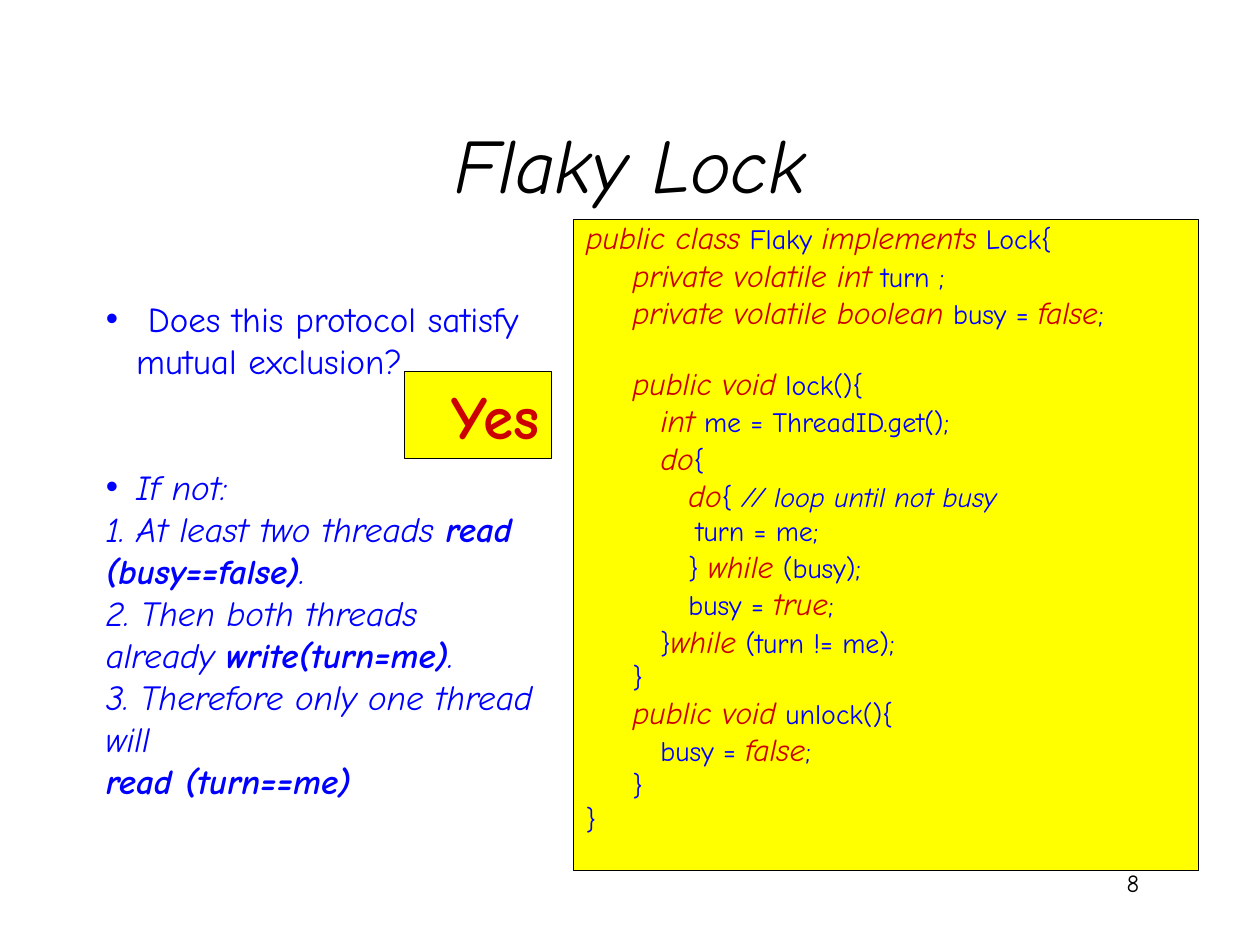
"""Build the Flaky Lock slide: a mutual exclusion argument beside its Java code."""
import pptx
import pptx.dml.color
import pptx.enum.shapes
import pptx.enum.text
import pptx.oxml
import pptx.oxml.ns
import pptx.util
from pptx.util import Inches

RGB = pptx.dml.color.RGBColor.from_string
ALIGN = pptx.enum.text.PP_ALIGN
theme = {
    "font": "Comic Neue",
    "black": RGB("000000"),
    "blue": RGB("0000FF"),
    "red": RGB("CC0000"),
    "yellow": RGB("FFFF00"),
    "title": 44,
    "answer": 35,
    "argument": 20,
    "keyword": 18,
    "code": 16,
    "number": 14,
}


def style(font, size, color, bold=False, italic=False):
    font.name = theme["font"]
    font.size = pptx.util.Pt(theme[size])
    font.color.rgb = theme[color]
    font.bold = bold
    font.italic = italic


def set_indent(paragraph, margin, children):
    properties = paragraph._p.get_or_add_pPr()
    properties.set("marL", str(Inches(margin)))
    properties.set("indent", str(-Inches(margin)))
    for child in children:
        namespace = pptx.oxml.ns.nsdecls("a")
        properties.append(pptx.oxml.parse_xml(child.replace("/>", f" {namespace}/>", 1)
                          if child.count("<") == 1 else child.replace(">", f" {namespace}>", 1)))


argument_lines = [
    " Does this protocol satisfy mutual exclusion?",
    "If not:",
    "1. At least two threads |read (busy==false)|.",
    "2. Then both threads already |write(turn=me)|.",
    "3. Therefore only one thread will",
    "|read (turn==me)",
]
code_lines = [
    "|public class| Flaky |implements| Lock{",
    "\t|private volatile int| turn ;",
    "\t|private volatile boolean| busy = |false|;",
    "\t|public void| lock(){",
    "\t   |int| me = ThreadID.get();",
    "\t   |do|{",
    "\t      |do|{ |// loop until not busy",
    "\t\tturn = me;",
    "\t      } |while| (busy);",
    "\t      busy = |true|;",
    "\t   }|while| (turn != me);",
    "\t}",
    "\t|public void| unlock(){",
    "\t   busy = |false|;",
    "\t}",
    "}",
]

deck = pptx.Presentation()
deck.slide_width, deck.slide_height = Inches(10), Inches(7.5)
slide = deck.slides.add_slide(deck.slide_layouts[3])
title, argument, code = list(slide.placeholders)[:3]

places = [
    (title, 0.75, 0.67, 8.5, 1.25),
    (argument, 0.74, 2.31, 3.61, 5.1),
    (code, 4.55, 1.74, 4.96, 5.17),
]
for part, left, top, width, height in places:
    part.left, part.top = Inches(left), Inches(top)
    part.width, part.height = Inches(width), Inches(height)
    part.text_frame.word_wrap = True
    part.text_frame.auto_size = pptx.enum.text.MSO_AUTO_SIZE.NONE

title.text_frame.text = "Flaky Lock"
title.text_frame.paragraphs[0].alignment = ALIGN.CENTER
style(title.text_frame.paragraphs[0].runs[0].font, "title", "black", italic=True)

bullet = ['<a:buClr><a:srgbClr val="0000FF"/></a:buClr>', '<a:buChar char="•"/>']
for index, line in enumerate(argument_lines):
    frame = argument.text_frame
    paragraph = frame.add_paragraph() if index else frame.paragraphs[0]
    bulleted = index < 2
    set_indent(paragraph, 0.24 if bulleted else 0, bullet if bulleted else ["<a:buNone/>"])
    paragraph.space_before = pptx.util.Pt(48 if index == 1 else 0)
    for position, words in enumerate(line.split("|")):
        if words:
            run = paragraph.add_run()
            run.text = words
            style(run.font, "argument", "blue", bold=position % 2 == 1, italic=index > 0)

stops = "".join(f'<a:tab pos="{Inches(inch)}" algn="l"/>' for inch in range(1, 9))
for index, line in enumerate(code_lines):
    frame = code.text_frame
    paragraph = frame.add_paragraph() if index else frame.paragraphs[0]
    set_indent(paragraph, 0.37, ["<a:buNone/>", f"<a:tabLst>{stops}</a:tabLst>"])
    paragraph.line_spacing = 0.8
    opens_lock = line.endswith(" lock(){")
    paragraph.space_before = pptx.util.Pt(23.5 if opens_lock else 4 if index else 0)
    for position, words in enumerate(line.split("|")):
        if words:
            run = paragraph.add_run()
            run.text = words
            comment = words.startswith("//")
            keyword = position % 2 == 1 and not comment
            style(run.font, "keyword" if keyword else "code",
                  "red" if keyword else "blue", italic=keyword or comment)

answer = slide.shapes.add_shape(
    pptx.enum.shapes.MSO_SHAPE.RECTANGLE,
    Inches(3.21), Inches(2.95), Inches(1.17), Inches(0.69))
answer.shadow.inherit = False
answer.text_frame.text = "Yes"
answer.text_frame.vertical_anchor = pptx.enum.text.MSO_ANCHOR.TOP
answer.text_frame.paragraphs[0].alignment = ALIGN.RIGHT
style(answer.text_frame.paragraphs[0].runs[0].font, "answer", "red", bold=True)

for panel in (code, answer):
    panel.fill.solid()
    panel.fill.fore_color.rgb = theme["yellow"]
    panel.line.color.rgb = theme["black"]
    panel.line.width = pptx.util.Pt(0.75)

number = slide.shapes.add_textbox(Inches(7.06), Inches(6.84), Inches(2.08), Inches(0.5))
number.text_frame.word_wrap = True
number.text_frame.text = "8"
number.text_frame.paragraphs[0].alignment = ALIGN.RIGHT
style(number.text_frame.paragraphs[0].runs[0].font, "number", "black")

deck.save("out.pptx")
